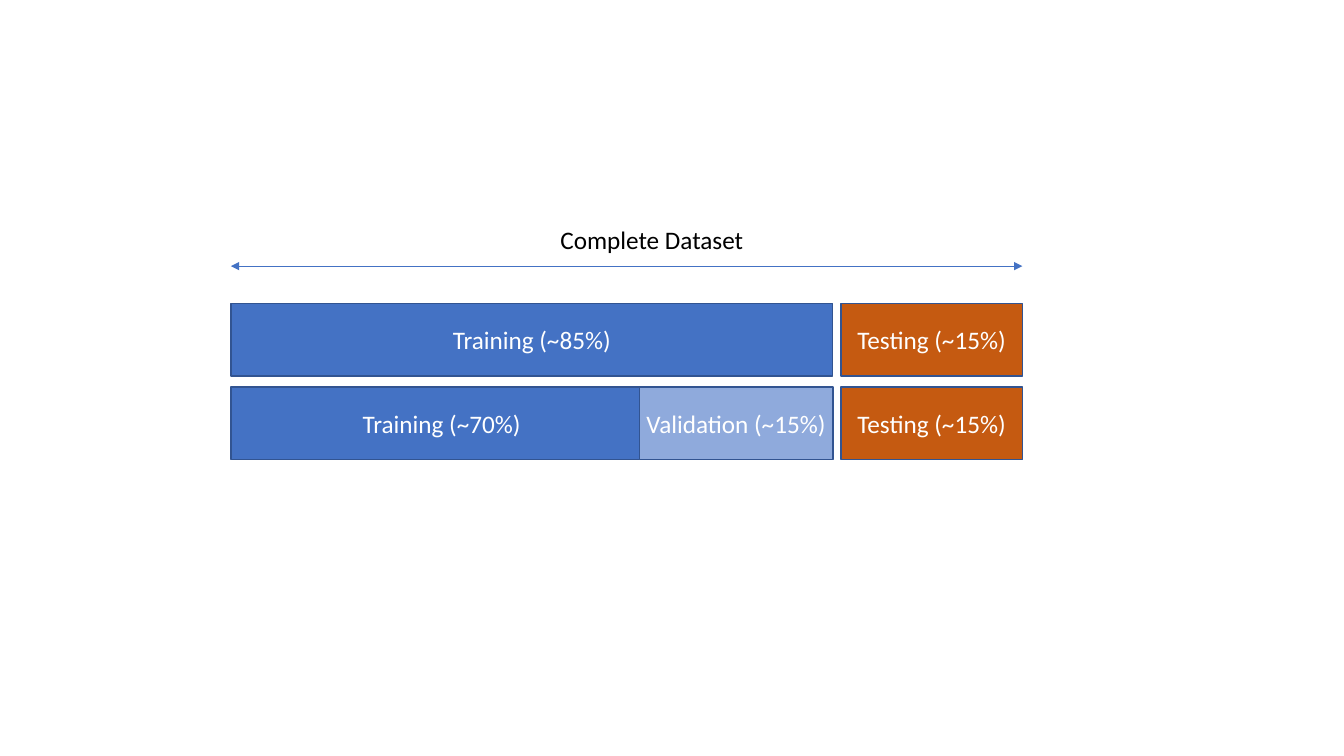
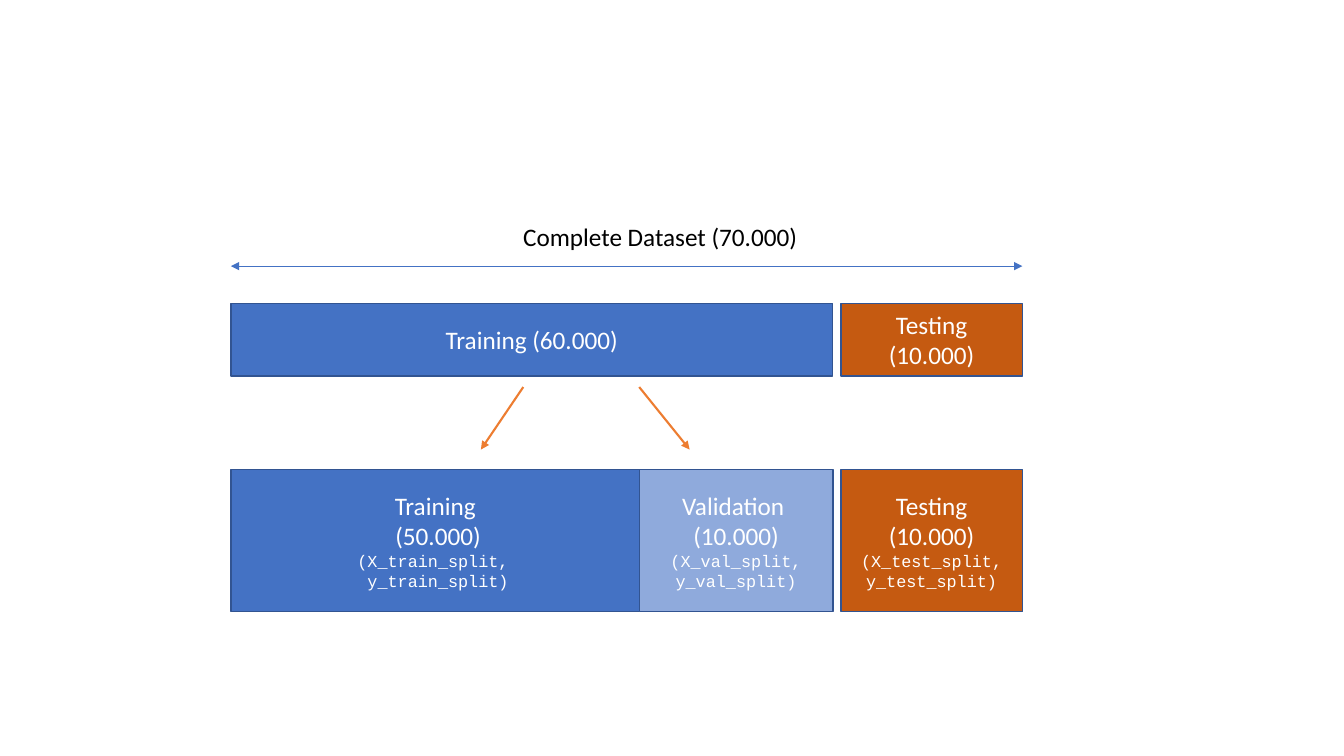
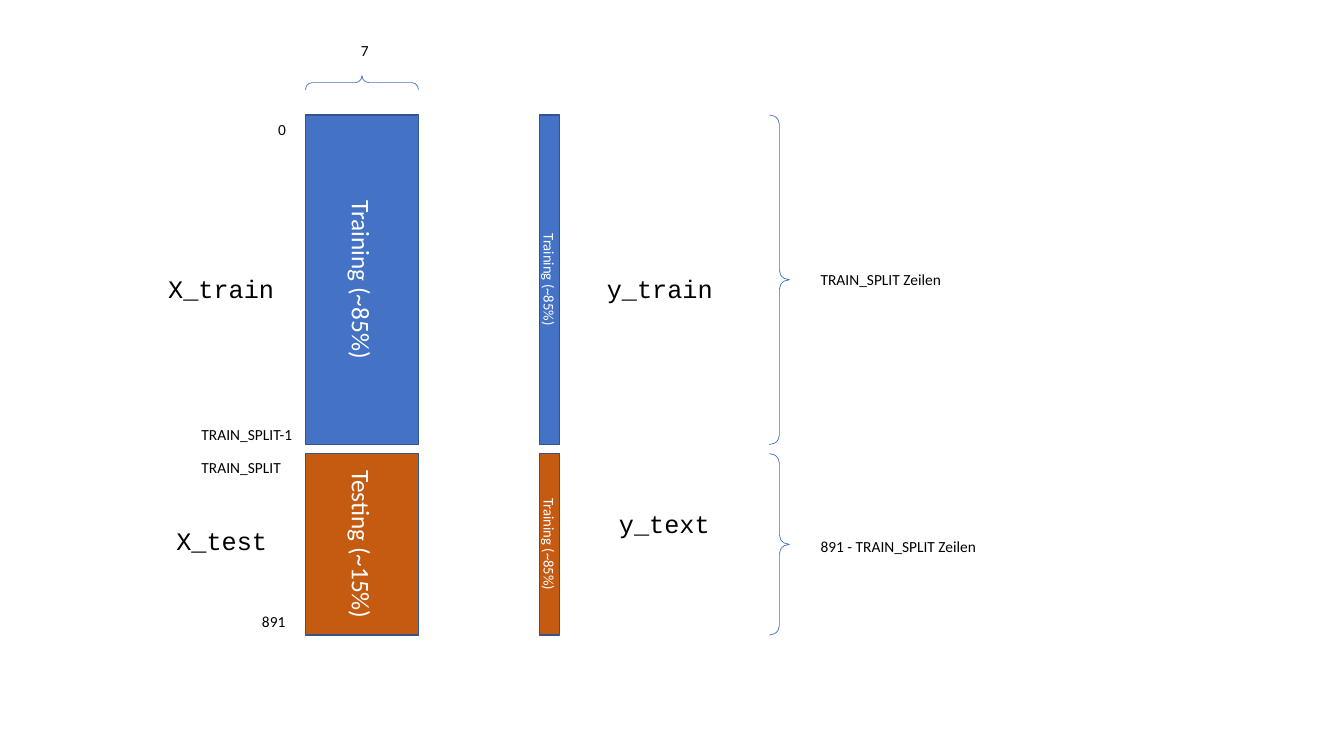
from copy import deepcopy

from lxml.etree import SubElement
from pptx import Presentation
from pptx.dml.color import RGBColor
from pptx.enum.shapes import MSO_CONNECTOR as CONN, MSO_SHAPE as SHAPE
from pptx.enum.text import MSO_ANCHOR as ANCHOR, MSO_AUTO_SIZE as AUTO, PP_ALIGN as ALIGN
from pptx.oxml.ns import qn
from pptx.util import Inches, Pt

BLUE = RGBColor(0x44, 0x72, 0xC4)
LIGHT_BLUE = RGBColor(0x8F, 0xAA, 0xDC)
RUST = RGBColor(0xC5, 0x5A, 0x11)
ORANGE = RGBColor(0xED, 0x7D, 0x31)
OUTLINE = RGBColor(0x32, 0x54, 0x91)
WHITE = RGBColor(0xFF, 0xFF, 0xFF)
BLACK = RGBColor(0, 0, 0)

SANS, MONO = "Calibri", "Courier New"
BODY = {"name": SANS, "size": Pt(18)}
CODE = {"name": MONO, "size": Pt(12)}
VARIABLE = {"name": MONO, "size": Pt(18)}
SMALL = {"name": SANS, "size": Pt(11)}
NARROW = {"name": SANS, "size": Pt(10.5)}

# Horizontal spans (left, width) of the dataset bars
LEFT, RIGHT = 2.29, 10.14
TRAIN_SPAN, VAL_SPAN, TEST_SPAN = (LEFT, 5.97), (6.34, 1.92), (8.34, 1.8)
# Vertical spans (top, height)
FIRST_ROW, SECOND_ROW, TALL_ROW = (3.01, 0.72), (3.84, 0.72), (4.66, 1.41)
TRAIN_ROWS, TEST_ROWS = (1.14, 3.27), (4.5, 1.8)


def inches(*values):
    """Turn numbers into lengths."""
    return [Inches(v) for v in values]


def sideways(left, top, width, height):
    """Give the unrotated box that covers this area after a quarter turn."""
    return left + (width - height) / 2, top + (height - width) / 2, height, width


def add_text(p, text, fmt, color):
    """Add formatted text to a paragraph, with a line break at each newline."""
    for i, line in enumerate(text.split("\n")):
        r = p.add_run()
        r.text = line
        for name, value in fmt.items():
            setattr(r.font, name, value)
        r.font.color.rgb = color
        if i:
            br = r._r.makeelement(qn("a:br"))
            br.append(deepcopy(r._r.rPr))
            r._r.addprevious(br)


def add_bar(slide, span, rows, fill, paragraphs, fmt=BODY, turned=False, tight=False):
    """Add a labelled bar; each paragraph is a list of (text, format)."""
    box = (span[0], rows[0], span[1], rows[1])
    sp = slide.shapes.add_shape(SHAPE.RECTANGLE, *inches(*(sideways(*box) if turned else box)))
    sp.shadow.inherit = False
    sp.rotation = 90 if turned else 0
    sp.fill.solid()
    sp.fill.fore_color.rgb = fill
    sp.line.color.rgb = OUTLINE
    sp.line.width = Pt(1)
    tf = sp.text_frame
    tf.word_wrap = True
    tf.vertical_anchor = ANCHOR.MIDDLE
    if tight:
        tf.margin_left = tf.margin_right = 0
    if isinstance(paragraphs, str):
        paragraphs = [[(paragraphs, fmt)]]
    for i, parts in enumerate(paragraphs):
        p = tf.add_paragraph() if i else tf.paragraphs[0]
        p.alignment = ALIGN.CENTER
        for text, part_fmt in parts:
            add_text(p, text, part_fmt, WHITE)


def add_label(slide, text, left, top, width, fmt):
    """Add a one-line label that does not wrap."""
    height = 0.4 if fmt["size"] == Pt(18) else 0.29
    tf = slide.shapes.add_textbox(*inches(left, top, width, height)).text_frame
    tf.word_wrap = False
    tf.auto_size = AUTO.SHAPE_TO_FIT_TEXT
    add_text(tf.paragraphs[0], text, fmt, BLACK)


def add_arrow(slide, start, end, color, width, ends=("tailEnd",)):
    """Add a straight line with triangular heads at the given ends."""
    c = slide.shapes.add_connector(CONN.STRAIGHT, *inches(*start, *end))
    c.line.color.rgb = color
    c.line.width = Pt(width)
    ln = c.line._get_or_add_ln()
    for tag in ends:
        SubElement(ln, qn(f"a:{tag}"), type="triangle")
    SubElement(c._element.spPr, qn("a:effectLst"))


def add_brace(slide, left, top, width, height, rotation):
    """Add a thin brace turned to point away from its rows or columns."""
    box = (left, top, width, height)
    sp = slide.shapes.add_shape(
        SHAPE.LEFT_BRACE, *inches(*(sideways(*box) if rotation == 90 else box)))
    sp.shadow.inherit = False
    sp.rotation = rotation
    sp.adjustments[0], sp.adjustments[1] = 0.464, 0.5
    sp.fill.background()
    sp.line.color.rgb = BLUE
    sp.line.width = Pt(0.5)


def add_dataset(slide, title, left, top, width, train, test):
    """Add the full-width arrow, its title and the first row of bars."""
    add_bar(slide, TRAIN_SPAN, FIRST_ROW, BLUE, train)
    add_bar(slide, TEST_SPAN, FIRST_ROW, RUST, test)
    add_arrow(slide, (LEFT, 2.64), (RIGHT, 2.64), BLUE, 0.5, ("headEnd", "tailEnd"))
    add_label(slide, title, left, top, width, BODY)


def build_percent_split(slide):
    """Show the split of the dataset in percent."""
    add_dataset(slide, "Complete Dataset", 5.46, 2.18, 2.04,
                "Training (~85%)", "Testing (~15%)")
    add_bar(slide, (LEFT, 4.18), SECOND_ROW, BLUE, "Training (~70%)")
    add_bar(slide, VAL_SPAN, SECOND_ROW, LIGHT_BLUE, "Validation (~15%)", tight=True)
    add_bar(slide, TEST_SPAN, SECOND_ROW, RUST, "Testing (~15%)")


def build_count_split(slide):
    """Show the split of the dataset in sample counts."""
    add_dataset(slide, "Complete Dataset (70.000)", 5.09, 2.15, 2.95,
                "Training (60.000)", "Testing (10.000)")
    add_bar(slide, (LEFT, 4.11), TALL_ROW, BLUE,
            [[("Training \n(50.000)", BODY)], [("(X_train_split, \ny_train_split)", CODE)]])
    add_bar(slide, VAL_SPAN, TALL_ROW, LIGHT_BLUE,
            [[("Validation \n(10.000)", BODY)], [("(X_val_split,\ny_val_split)", CODE)]],
            tight=True)
    add_bar(slide, TEST_SPAN, TALL_ROW, RUST,
            [[("Testing (10.000)\n", BODY), ("(X_test_split,\ny_test_split)", CODE)]])
    for x1, x2 in ((5.19, 4.77), (6.34, 6.84)):
        add_arrow(slide, (x1, 3.84), (x2, 4.46), ORANGE, 1.5)


def build_array_split(slide):
    """Show how the rows of X and y are divided."""
    x_span, y_span = (3.03, 1.12), (5.35, 0.2)
    for rows, fill, x_text in ((TRAIN_ROWS, BLUE, "Training (~85%)"),
                               (TEST_ROWS, RUST, "Testing (~15%)")):
        add_bar(slide, x_span, rows, fill, x_text, turned=True)
        add_bar(slide, y_span, rows, fill, "Training (~85%)", NARROW, turned=True)
        add_brace(slide, 7.63, rows[0], 0.2, rows[1], 180)
    add_brace(slide, x_span[0], 0.75, x_span[1], 0.14, 90)
    for text, left, top, width, fmt in (
        ("7", 3.48, 0.36, 0.28, SMALL),
        ("0", 2.66, 1.14, 0.28, SMALL),
        ("TRAIN_SPLIT-1", 1.9, 4.17, 1.12, SMALL),
        ("TRAIN_SPLIT", 1.9, 4.5, 0.99, SMALL),
        ("891", 2.5, 6.02, 0.44, SMALL),
        ("TRAIN_SPLIT Zeilen", 8.04, 2.63, 1.41, SMALL),
        ("891 - TRAIN_SPLIT Zeilen", 8.04, 5.28, 1.76, SMALL),
        ("X_train", 1.57, 2.66, 1.26, VARIABLE),
        ("X_test", 1.65, 5.16, 1.11, VARIABLE),
        ("y_train", 5.92, 2.66, 1.26, VARIABLE),
        ("y_text", 6.04, 4.99, 1.11, VARIABLE),
    ):
        add_label(slide, text, left, top, width, fmt)


def main():
    """Build the three slides and save them."""
    prs = Presentation()
    prs.slide_width, prs.slide_height = inches(13.33, 7.5)
    blank = prs.slide_layouts[6]
    for build in (build_percent_split, build_count_split, build_array_split):
        build(prs.slides.add_slide(blank))
    prs.save("out.pptx")


main()
